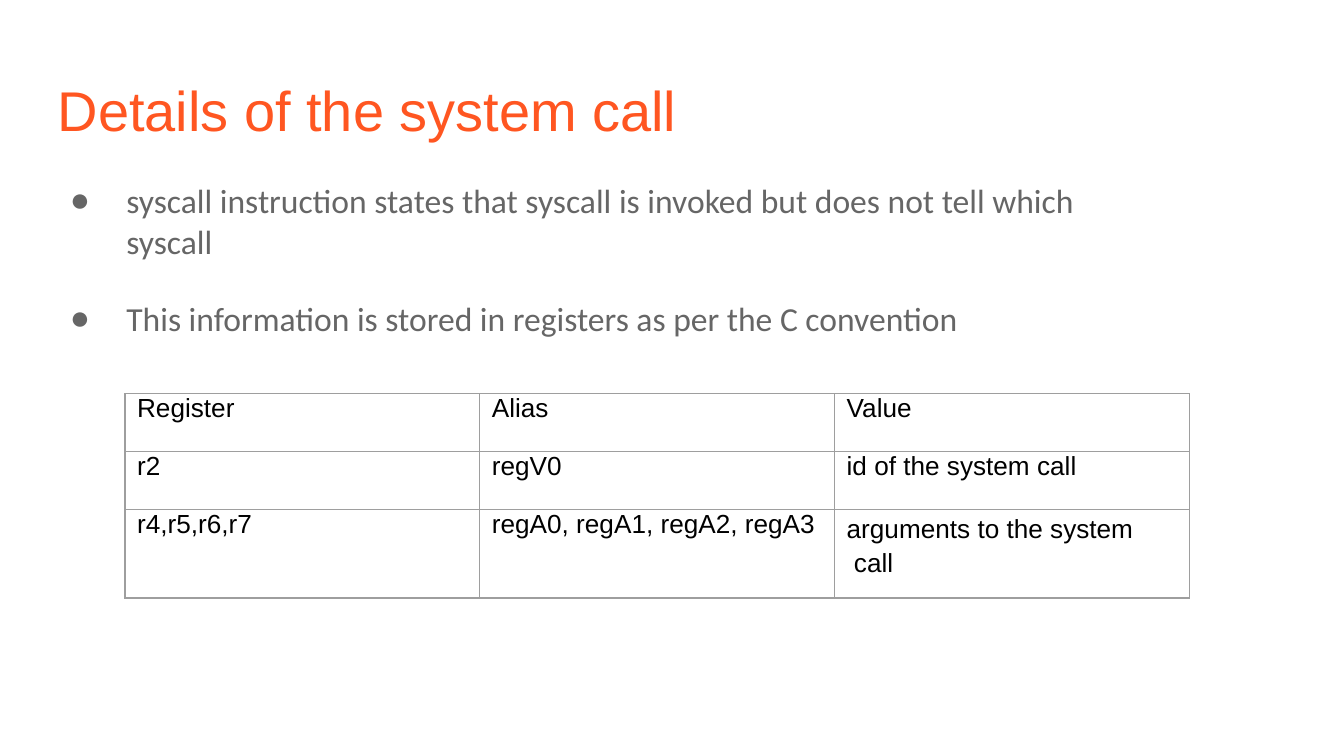
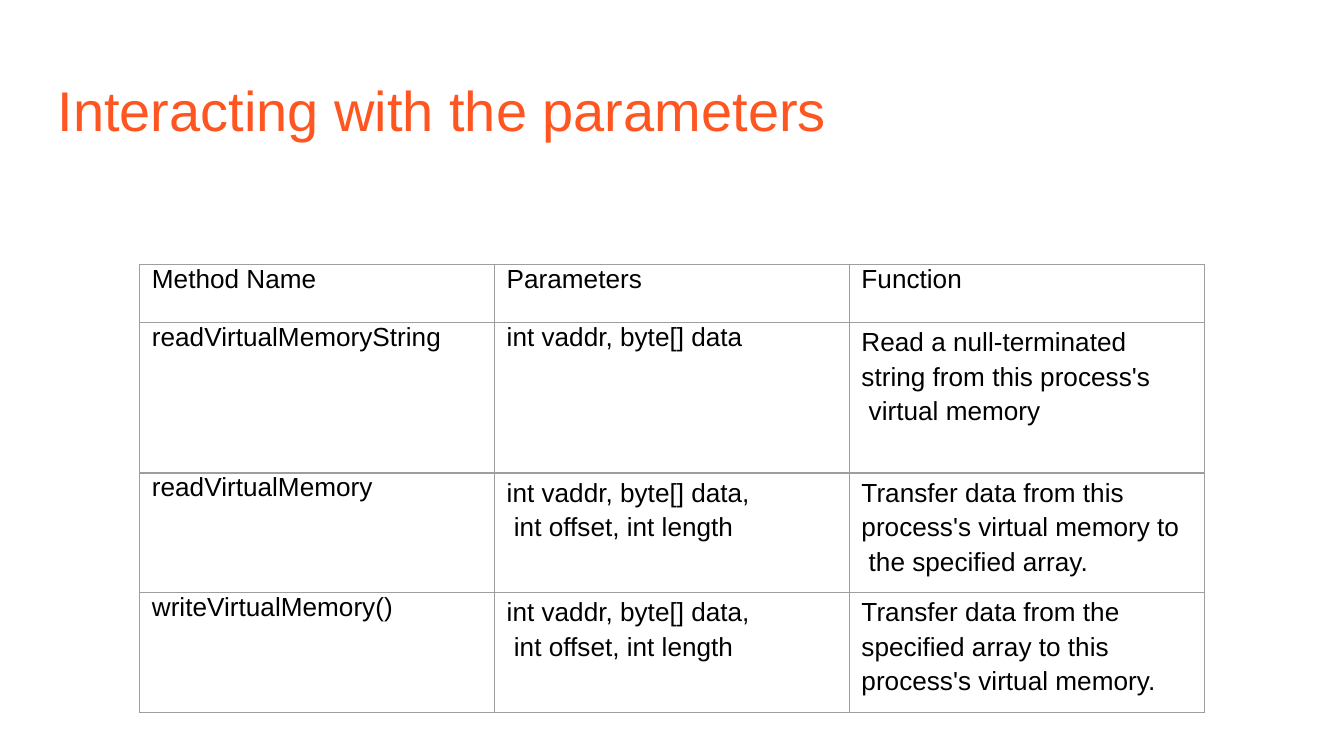
"""Build two slides about system calls and their parameters."""
from dataclasses import dataclass

from lxml import etree
from pptx import Presentation
from pptx.dml.color import RGBColor
from pptx.oxml.ns import qn
from pptx.slide import Slide
from pptx.table import _Cell
from pptx.text.text import TextFrame, _Paragraph
from pptx.util import Inches, Pt

ORANGE = "FF5621"
GRAY = "666666"
BLACK = "000000"
BORDER = "9E9E9E"
WHITE = "FFFFFF"
TITLE_FONT = "Arial"
BODY_FONT = "Calibri"
COLUMN_WIDTH = 2.64
SLIDE_WIDTH = 10
SLIDE_HEIGHT = SLIDE_WIDTH * 9 / 16
BLANK_LAYOUT = 6


@dataclass(frozen=True)
class TextStyle:
    font: str
    size: int
    color: str


@dataclass(frozen=True)
class Grid:
    left: float
    top: float
    heights: tuple[float, ...]
    rows: tuple[tuple[str, ...], ...]


@dataclass(frozen=True)
class Page:
    title: str
    bullets: tuple[str, ...]
    grid: Grid


TITLE = TextStyle(TITLE_FONT, 30, ORANGE)
BODY = TextStyle(BODY_FONT, 18, GRAY)
CELL = TextStyle(TITLE_FONT, 14, BLACK)

OFFSET_PARAMETERS = "int vaddr, byte[] data,\v int offset, int length"

PAGES = (
    Page(
        "Details of the system call",
        (
            "syscall instruction states that syscall is invoked but does not tell which syscall",
            "This information is stored in registers as per the C convention",
        ),
        Grid(0.93, 2.93, (0.43, 0.43, 0.66), (
            ("Register", "Alias", "Value"),
            ("r2", "regV0", "id of the system call"),
            ("r4,r5,r6,r7", "regA0, regA1, regA2, regA3", "arguments to the system\v call"),
        )),
    ),
    Page(
        "Interacting with the parameters",
        (),
        Grid(1.04, 1.97, (0.43, 1.12, 0.89, 0.89), (
            ("Method Name", "Parameters", "Function"),
            ("readVirtualMemoryString", "int vaddr, byte[] data",
             "Read a null-terminated\vstring from this process's\v virtual memory"),
            ("readVirtualMemory", OFFSET_PARAMETERS,
             "Transfer data from this\vprocess's virtual memory to\v the specified array."),
            ("writeVirtualMemory()", OFFSET_PARAMETERS,
             "Transfer data from the\vspecified array to this\vprocess's virtual memory."),
        )),
    ),
)


def rgb(color: str) -> RGBColor:
    """Turn a hex string into a colour."""
    return RGBColor.from_string(color)


def write(paragraph: _Paragraph, text: str, style: TextStyle,
          margin: float, indent: float = 0) -> None:
    """Fill a paragraph and format its runs and line breaks."""
    paragraph.text = text
    for span in paragraph.runs:
        span.font.name = style.font
        span.font.size = Pt(style.size)
        span.font.color.rgb = rgb(style.color)
    for line_break in paragraph._p.findall(qn("a:br")):
        etree.SubElement(line_break, qn("a:rPr"), sz=str(style.size * 100))
    properties = paragraph._p.get_or_add_pPr()
    properties.set("marL", str(Inches(margin)))
    properties.set("indent", str(Inches(indent)))


def add_box(page: Slide, left: float, top: float, width: float, height: float) -> TextFrame:
    """Add a wrapping text box without insets."""
    frame = page.shapes.add_textbox(
        Inches(left), Inches(top), Inches(width), Inches(height)).text_frame
    frame.word_wrap = True
    frame.margin_left = frame.margin_right = frame.margin_top = frame.margin_bottom = 0
    return frame


def add_bullet(paragraph: _Paragraph) -> None:
    """Give a paragraph a round gray bullet."""
    properties = paragraph._p.get_or_add_pPr()
    color = etree.SubElement(properties, qn("a:buClr"))
    etree.SubElement(color, qn("a:srgbClr"), val=GRAY)
    etree.SubElement(properties, qn("a:buFont"), typeface=TITLE_FONT)
    etree.SubElement(properties, qn("a:buChar"), char="●")


def add_bullets(page: Slide, bullets: tuple[str, ...]) -> None:
    """Add the bulleted list below the title."""
    frame = add_box(page, 0.5, 1.34, 8.08, 0.89)
    for index, text in enumerate(bullets):
        paragraph = frame.add_paragraph() if index else frame.paragraphs[0]
        write(paragraph, text, BODY, 0.44, -0.42)
        if index:
            paragraph.space_before = Pt(20)
        add_bullet(paragraph)


def fill_cell(cell: _Cell, text: str) -> None:
    """Write a table cell and draw its borders."""
    cell.margin_left = cell.margin_right = cell.margin_top = cell.margin_bottom = 0
    paragraph = cell.text_frame.paragraphs[0]
    write(paragraph, text, CELL, 0.09)
    if "\v" in text:
        paragraph.line_spacing = 1.18
    properties = cell._tc.get_or_add_tcPr()
    for side in ("lnL", "lnR", "lnT", "lnB"):
        line = etree.SubElement(properties, qn(f"a:{side}"), w=str(Pt(0.75)))
        fill = etree.SubElement(line, qn("a:solidFill"))
        etree.SubElement(fill, qn("a:srgbClr"), val=BORDER)
    cell.fill.background()


def add_grid(page: Slide, grid: Grid) -> None:
    """Add a bordered table with equal columns."""
    count = len(grid.rows[0])
    table = page.shapes.add_table(
        len(grid.rows), count, Inches(grid.left), Inches(grid.top),
        Inches(COLUMN_WIDTH * count), Inches(sum(grid.heights))).table
    table.first_row = table.horz_banding = False
    for column in table.columns:
        column.width = Inches(COLUMN_WIDTH)
    for row, height, texts in zip(table.rows, grid.heights, grid.rows):
        row.height = Inches(height)
        for cell, text in zip(row.cells, texts):
            fill_cell(cell, text)


def main() -> None:
    """Build and save the deck."""
    deck = Presentation()
    deck.slide_width, deck.slide_height = Inches(SLIDE_WIDTH), Inches(SLIDE_HEIGHT)
    for content in PAGES:
        page = deck.slides.add_slide(deck.slide_layouts[BLANK_LAYOUT])
        page.background.fill.solid()
        page.background.fill.fore_color.rgb = rgb(WHITE)
        heading = add_box(page, 0.42, 0.56, 9.16, 0.53)
        write(heading.paragraphs[0], content.title, TITLE, 0.01)
        if content.bullets:
            add_bullets(page, content.bullets)
        add_grid(page, content.grid)
    deck.save("out.pptx")


if __name__ == "__main__":
    main()
